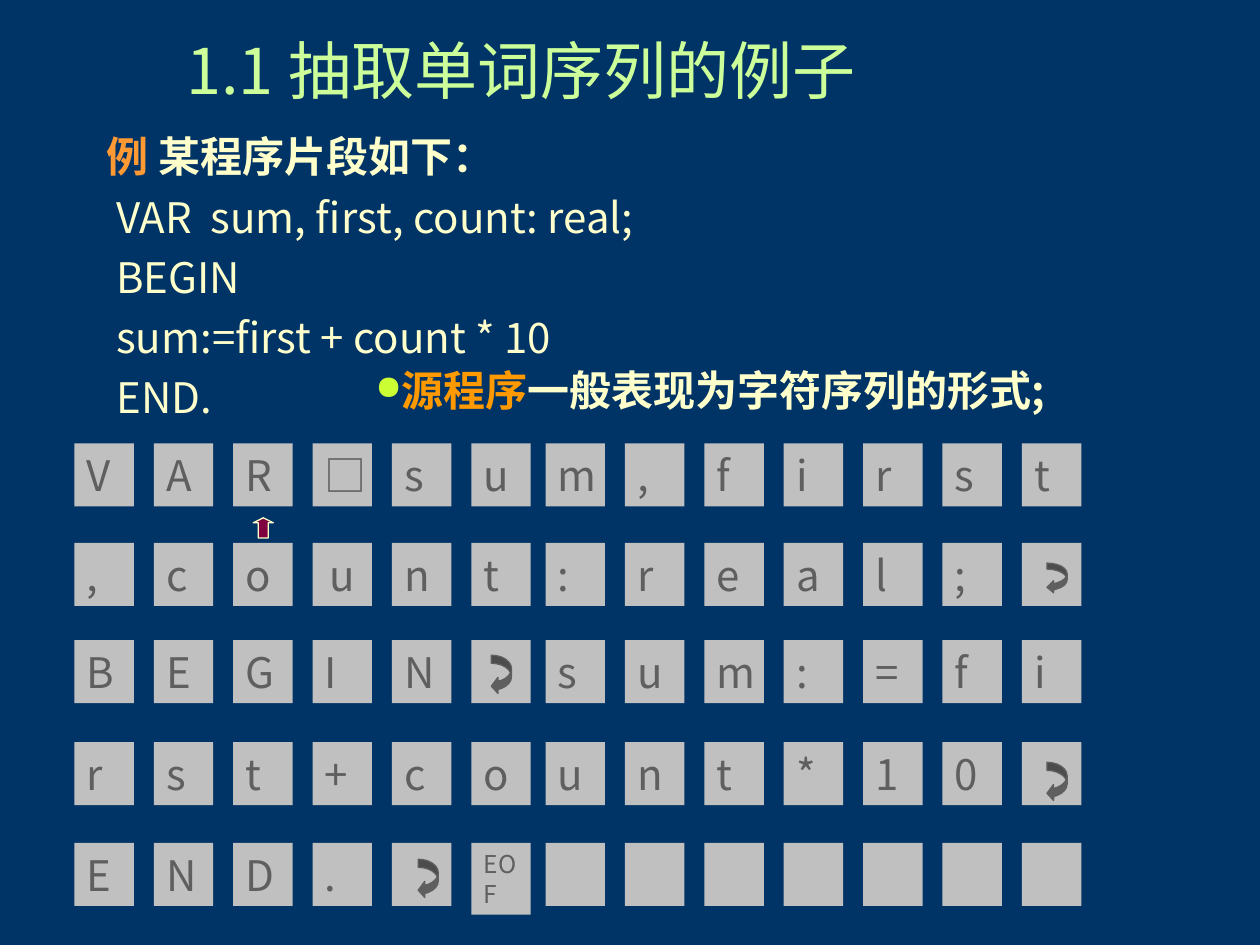
"""Build the slide that shows a source program as a sequence of characters."""
from lxml import etree
from pptx import Presentation
from pptx.dml.color import RGBColor
from pptx.enum import shapes, text
from pptx.oxml.ns import qn
from pptx.util import Pt

COLORS = {
    "background": "003366", "title": "CCFF99", "body": "FFFFCC",
    "example": "FF9933", "source": "FF9900", "bullet": "CCFF33",
    "cell": "C0C0C0", "letter": "5F5F5F", "pointer": "7E003F",
}
FONT = "Noto Sans CJK SC"


def set_font(font, size, color, bold=False):
    """Give a paragraph or run font its face, size and colour."""
    font.name, font.size, font.bold = FONT, Pt(size), bold
    font.color.rgb = RGBColor.from_string(COLORS[color])
    etree.SubElement(font._element, qn("a:ea"), typeface=FONT)


def add_filled(kind, left, top, width, height, fill, line=None):
    """Add a flat preset shape with an optional thin outline."""
    shape = page.shapes.add_shape(kind, Pt(left), Pt(top), Pt(width), Pt(height))
    shape.shadow.inherit = False
    shape.fill.solid()
    shape.fill.fore_color.rgb = RGBColor.from_string(COLORS[fill])
    if line:
        shape.line.color.rgb = RGBColor.from_string(COLORS[line])
        shape.line.width = Pt(0.75)
    else:
        shape.line.fill.background()
    return shape


deck = Presentation()
deck.slide_width, deck.slide_height = Pt(720), Pt(540)
page = deck.slides.add_slide(deck.slide_layouts[5])
page.background.fill.solid()
page.background.fill.fore_color.rgb = RGBColor.from_string(COLORS["background"])

title = page.shapes.title
title.left, title.top, title.width, title.height = Pt(99.4), Pt(-2), Pt(581), Pt(90)
title.text_frame.text = "1.1 抽取单词序列的例子"
title.text_frame.vertical_anchor = text.MSO_ANCHOR.MIDDLE
para = title.text_frame.paragraphs[0]
para.alignment = text.PP_ALIGN.LEFT
para.line_spacing = 0.85
set_font(para.font, 36, "title")

program = page.shapes.add_textbox(Pt(54), Pt(71.3), Pt(578), Pt(173.5)).text_frame
program.word_wrap = True
heading = program.paragraphs[0]
for words, color in (("例 ", "example"), ("某程序片段如下：", "body")):
    span = heading.add_run()
    span.text = words
    set_font(span.font, 24, color, bold=True)
for code in (" VAR  sum, first, count: real;", " BEGIN", " sum:=first + count * 10", " END."):
    para = program.add_paragraph()
    para.text = code
    para.space_before = Pt(5.6)
    set_font(para.font, 24, "body")

rows = [
    (253.4, list("VAR□sum,first")),
    (310.3, list(",count:real;") + [""]),
    (365.8, list("BEGIN") + [""] + list("sum:=fi")),
    (424.1, list("rst+count*10") + [""]),
    (481.7, list("END.") + ["", "EOF"] + [""] * 7),
]
for top, letters in rows:
    for column, letter in enumerate(letters):
        left = 42.5 + 45.36 * column - (2.9 if column > 5 else 0)
        height = 41 if letter == "EOF" else 36
        cell = add_filled(shapes.MSO_SHAPE.RECTANGLE, left, top, 34, height, "cell")
        if letter:
            frame = cell.text_frame
            frame.text = letter
            frame.vertical_anchor = text.MSO_ANCHOR.TOP
            para = frame.paragraphs[0]
            centred = top == 310.3 and letter == "u"
            para.alignment = text.PP_ALIGN.CENTER if centred else text.PP_ALIGN.LEFT
            set_font(para.font, 14 if letter == "EOF" else 24, "letter")

for left, top, height, bend in (
    (598.3, 321.8, 17.3, 0.3),
    (280.8, 374.4, 22.3, 0.4),
    (598.3, 435.6, 22.3, 0.4),
    (239, 491, 22.3, 0.4),
):
    arrow = add_filled(shapes.MSO_SHAPE.CURVED_LEFT_ARROW, left, top, 11.5, height, "letter", "letter")
    arrow.adjustments[0], arrow.adjustments[1], arrow.adjustments[2] = bend, 2 * bend, 0.33

pointer = add_filled(shapes.MSO_SHAPE.UP_ARROW, 144.7, 295.9, 11.5, 11.5, "pointer", "body")
pointer.adjustments[0], pointer.adjustments[1] = 0.5, 0.25

note = page.shapes.add_textbox(Pt(207.4), Pt(204.5), Pt(400.3), Pt(36)).text_frame
note.word_wrap = True
para = note.paragraphs[0]
properties = para._p.get_or_add_pPr()
bullet_color = etree.SubElement(properties, qn("a:buClr"))
etree.SubElement(bullet_color, qn("a:srgbClr"), val=COLORS["bullet"])
etree.SubElement(properties, qn("a:buSzPct"), val="80000")
etree.SubElement(properties, qn("a:buChar"), char="●")
for words, color in (("源程序", "source"), ("一般表现为字符序列的形式;", "body")):
    span = para.add_run()
    span.text = words
    set_font(span.font, 24, color, bold=True)

deck.save("out.pptx")
